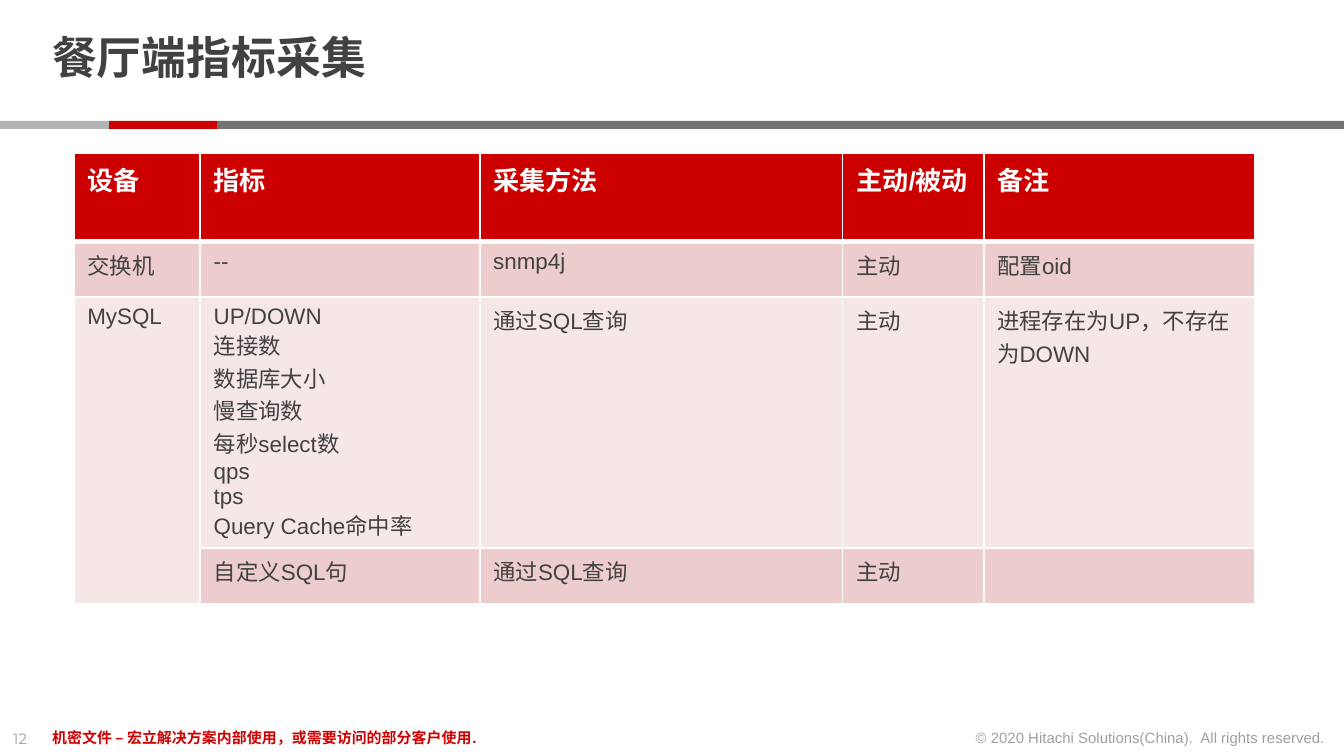
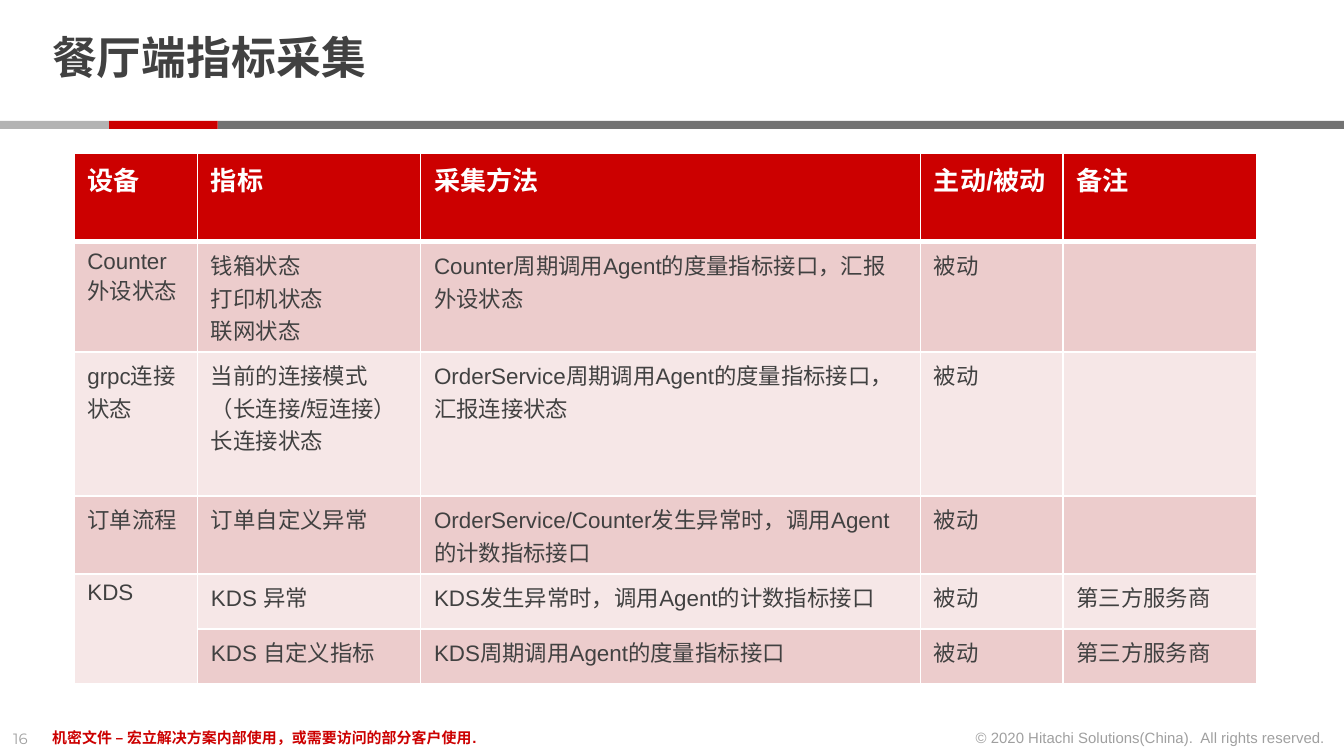
from lxml.etree import SubElement
from pptx import Presentation
from pptx.dml.color import RGBColor
from pptx.enum.shapes import MSO_SHAPE
from pptx.enum.text import MSO_ANCHOR, MSO_AUTO_SIZE, PP_ALIGN
from pptx.oxml.ns import qn
from pptx.util import Inches, Pt

RED = "CC0000"
TEXT = "414141"
WHITE = "FFFFFF"
ROW_FILLS = ["F6E7E7", "ECCCCC"]
BANDS = [(1.62, 8.38, "737373"), (0.81, 0.81, RED), (0, 0.81, "B3B3B3")]
BODY_FONT = "Arial"
TITLE_FONT = "Montserrat"

TITLE = "餐厅端指标采集"
CONFIDENTIAL = "机密文件 – 宏立解决方案内部使用，或需要访问的部分客户使用."
COPYRIGHT = "© 2020 Hitachi Solutions(China).  All rights reserved."

HEADER = ["设备", "指标", "采集方法", "主动/被动", "备注"]
HEADER_HEIGHT = 0.66
ROW_HEIGHT = 0.41

DATABASE_METRICS = [
    "UP/DOWN", "连接数", "数据库大小", "慢查询数",
    "每秒select数", "qps", "tps", "Query Cache命中率",
]
DATABASE_ROWS = [
    ["交换机", "--", "snmp4j", "主动", "配置oid"],
    ["MySQL", "\n".join(DATABASE_METRICS), "通过SQL查询", "主动",
     "进程存在为UP，不存在为DOWN"],
    [None, "自定义SQL句", "通过SQL查询", "主动", ""],
]
SERVICE_ROWS = [
    ["Counter外设状态", "钱箱状态\n打印机状态\n联网状态",
     "Counter周期调用Agent的度量指标接口，汇报外设状态", "被动", ""],
    ["grpc连接状态", "当前的连接模式（长连接/短连接）\n长连接状态",
     "OrderService周期调用Agent的度量指标接口，汇报连接状态", "被动", ""],
    ["订单流程", "订单自定义异常",
     "OrderService/Counter发生异常时，调用Agent的计数指标接口", "被动", ""],
    ["KDS", "KDS 异常", "KDS发生异常时，调用Agent的计数指标接口", "被动", "第三方服务商"],
    [None, "KDS 自定义指标", "KDS周期调用Agent的度量指标接口", "被动", "第三方服务商"],
]
PAGES = [
    ("12", [0.94, 2.08, 2.7, 1.05, 2.02],
     [HEADER_HEIGHT, ROW_HEIGHT, 1.87, ROW_HEIGHT], DATABASE_ROWS),
    ("16", [0.92, 1.66, 3.72, 1.06, 1.44],
     [HEADER_HEIGHT, 0.82, 1.07, 0.58, ROW_HEIGHT, ROW_HEIGHT], SERVICE_ROWS),
]


def set_color(color_format, value):
    color_format.rgb = RGBColor.from_string(value)


def paint(fill, color):
    fill.solid()
    set_color(fill.fore_color, color)


def add_run(paragraph, text, size, color, bold=False, font=BODY_FONT, opacity=100):
    run = paragraph.add_run()
    run.text = text
    run.font.name = font
    run.font.size = Pt(size)
    run.font.bold = bold
    paint(run.font.fill, color)
    if opacity < 100:
        for color_element in run.font._element.iter(qn("a:srgbClr")):
            SubElement(color_element, qn("a:alpha"), val=str(opacity * 1000))


def add_text_frame(slide, left, top, width, height, wrap=True):
    box = slide.shapes.add_textbox(Inches(left), Inches(top), Inches(width), Inches(height))
    box.text_frame.word_wrap = wrap
    return box.text_frame


def add_title(slide):
    frame = add_text_frame(slide, 0.29, 0.05, 7.71, 0.8)
    frame.vertical_anchor = MSO_ANCHOR.MIDDLE
    frame.margin_top = frame.margin_bottom = 0
    paragraph = frame.paragraphs[0]
    paragraph.line_spacing = 0.85
    add_run(paragraph, TITLE, 24, TEXT, True, TITLE_FONT)


def add_bands(slide):
    group = slide.shapes.add_group_shape()
    for left, width, color in BANDS:
        band = group.shapes.add_shape(
            MSO_SHAPE.RECTANGLE, Inches(left), Inches(0.9), Inches(width), Inches(0.06))
        band.shadow.inherit = False
        band.line.fill.background()
        paint(band.fill, color)


def add_footer_text(slide, left, top, width, text, wrap=False,
                    alignment=PP_ALIGN.LEFT, **style):
    frame = add_text_frame(slide, left, top, width, 0.24, wrap)
    frame.auto_size = MSO_AUTO_SIZE.SHAPE_TO_FIT_TEXT
    frame.paragraphs[0].alignment = alignment
    add_run(frame.paragraphs[0], text, 8, **style)


def add_footer(slide, number):
    add_footer_text(slide, 0, 5.38, 0.34, number, color=TEXT, font=TITLE_FONT, opacity=50)
    add_footer_text(slide, 7.12, 5.37, 2.84, COPYRIGHT, alignment=PP_ALIGN.RIGHT,
                    color=TEXT, opacity=50)
    add_footer_text(slide, 0.29, 5.37, 6.74, CONFIDENTIAL, wrap=True, color=RED, bold=True)


def set_borders(cell, top, bottom):
    properties = cell._tc.get_or_add_tcPr()
    for side, width in (("L", 1), ("R", 1), ("T", top), ("B", bottom)):
        line = SubElement(properties, qn(f"a:ln{side}"), w=str(Pt(width)))
        fill = SubElement(line, qn("a:solidFill"))
        SubElement(fill, qn("a:srgbClr"), val=WHITE)


def fill_cell(cell, text, row_index):
    is_header = row_index == 0
    set_borders(cell, 3 if row_index == 1 else 1, 3 if is_header else 1)
    paint(cell.fill, RED if is_header else ROW_FILLS[row_index % 2])
    if not text:
        return
    for index, line in enumerate(text.split("\n")):
        frame = cell.text_frame
        paragraph = frame.add_paragraph() if index else frame.paragraphs[0]
        if is_header:
            add_run(paragraph, line, 14, WHITE, True)
        else:
            add_run(paragraph, line, 12, TEXT)


def add_metric_table(slide, widths, heights, body):
    rows = [HEADER] + body
    table = slide.shapes.add_table(
        len(rows), len(widths), Inches(0.55), Inches(1.14),
        Inches(sum(widths)), Inches(sum(heights))).table
    for column, width in zip(table.columns, widths):
        column.width = Inches(width)
    for row, height in zip(table.rows, heights):
        row.height = Inches(height)
    for row_index, values in enumerate(rows):
        for column_index, text in enumerate(values):
            cell = table.cell(row_index, column_index)
            fill_cell(cell, text, row_index)
            if text is None:
                table.cell(row_index - 1, column_index).merge(cell)


def main():
    presentation = Presentation()
    presentation.slide_width = Inches(10)
    presentation.slide_height = Inches(10 * 9 / 16)
    for number, widths, heights, body in PAGES:
        slide = presentation.slides.add_slide(presentation.slide_layouts[6])
        add_bands(slide)
        add_footer(slide, number)
        add_title(slide)
        add_metric_table(slide, widths, heights, body)
    presentation.save("out.pptx")


if __name__ == "__main__":
    main()
